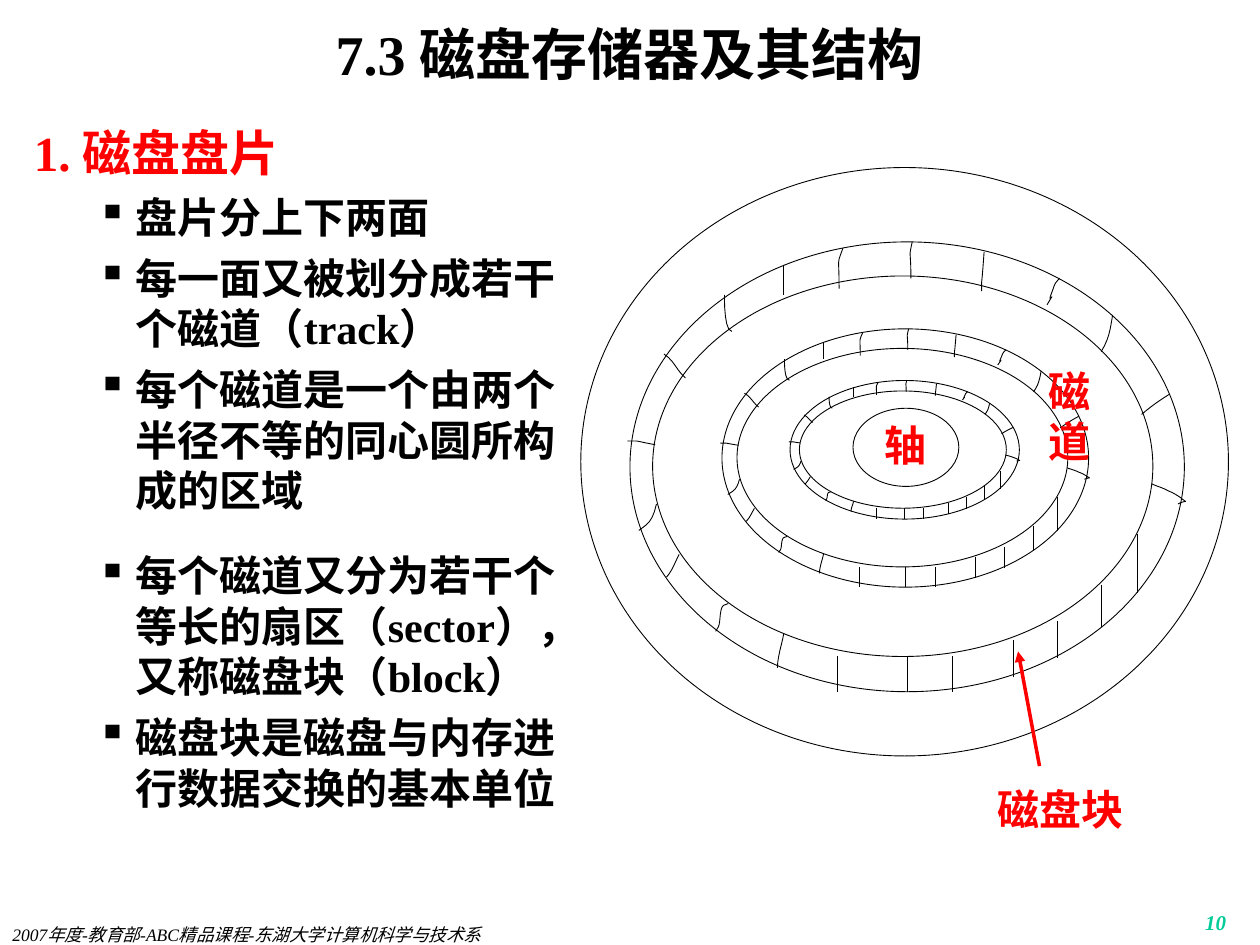
"""Build a slide on the structure of a magnetic disk platter."""
from lxml import etree
from pptx import Presentation
from pptx.dml.color import RGBColor
from pptx.enum.shapes import MSO_CONNECTOR, MSO_SHAPE
from pptx.enum.text import MSO_ANCHOR, MSO_AUTO_SIZE, PP_ALIGN
from pptx.oxml.ns import qn
from pptx.util import Inches, Pt

STRAIGHT = MSO_CONNECTOR.STRAIGHT
OVAL = MSO_SHAPE.OVAL
TOP, MIDDLE = MSO_ANCHOR.TOP, MSO_ANCHOR.MIDDLE
LEFT, CENTER, RIGHT, JUSTIFY = PP_ALIGN.LEFT, PP_ALIGN.CENTER, PP_ALIGN.RIGHT, PP_ALIGN.JUSTIFY
NO_FIT = MSO_AUTO_SIZE.NONE

FONT = "Times New Roman"
COLORS = {"ink": "000000", "paper": "FFFFFF", "accent": "FF0000", "number": "00CC99"}

TITLE = "7.3 磁盘存储器及其结构"
HEADING = "1. 磁盘盘片"
BULLETS = [
    ("盘片分上下两面", 6),
    ("每一面又被划分成若干个磁道（track）", 6),
    ("每个磁道是一个由两个半径不等的同心圆所构成的区域", 6),
    ("每个磁道又分为若干个等长的扇区（sector），又称磁盘块（block）", 20),
    ("磁盘块是磁盘与内存进行数据交换的基本单位", 6),
]
FOOTER = "2007年度-教育部-ABC精品课程-东湖大学计算机科学与技术系"
PAGE_NUMBER = "10"

PLATTER = (4.61, 1.33, 5.14, 4.67)
SPINDLE = (6.77, 3.24, 0.84, 0.62)
OUTER_TRACK = (5, 1.92, 4.4, 3.57)
MIDDLE_TRACK = (5.73, 2.61, 2.91, 2.05)
INNER_TRACK = (6.27, 3.02, 1.82, 1.1)
TRACK_INNER_EDGE = (5.18, 2.19, 3.97, 3.02)

STRAIGHT_MARKS = [
    ((7.2, 5.21), (7.2, 5.49)),
    ((7.56, 5.21), (7.56, 5.49)),
    ((6.65, 5.21), (6.65, 5.49)),
    ((8.04, 5.08), (8.04, 5.37)),
    ((8.39, 4.93), (8.39, 5.22)),
    ((8.74, 4.64), (8.74, 4.98)),
    ((9.03, 4.24), (9.03, 4.71)),
    ((6.22, 2.1), (6.22, 2.34)),
]
CURVED_MARKS = [
    [(6.22, 5.03), (6.21, 5.1), (6.17, 5.21), (6.17, 5.3)],
    [(5.78, 4.79), (5.76, 4.8), (5.74, 4.8), (5.73, 4.82), (5.71, 4.87),
     (5.72, 4.94), (5.7, 4.98), (5.69, 4.99), (5.69, 5), (5.68, 5.01)],
    [(5.39, 4.4), (5.36, 4.46), (5.33, 4.54), (5.29, 4.58)],
    [(5.21, 4), (5.18, 4.14), (5.14, 4.16), (5.07, 4.21)],
    [(5.2, 3.53), (5.03, 3.5), (5.1, 3.5), (4.98, 3.5)],
    [(5.27, 2.81), (5.35, 2.86), (5.37, 2.94), (5.44, 3)],
    [(5.75, 2.34), (5.75, 2.4), (5.75, 2.63), (5.81, 2.63)],
    [(6.69, 1.97), (6.64, 2.11), (6.66, 2.02), (6.66, 2.29)],
    [(7.24, 1.92), (7.21, 2.06), (7.23, 1.97), (7.23, 2.21)],
    [(7.81, 2), (7.79, 2.3), (7.79, 2.19), (7.79, 2.31)],
    [(8.41, 2.21), (8.39, 2.23), (8.37, 2.25), (8.36, 2.29),
     (8.28, 2.49), (8.41, 2.25), (8.31, 2.42)],
    [(8.83, 2.5), (8.81, 2.63), (8.8, 2.69), (8.74, 2.79)],
    [(9.28, 3.13), (9.2, 3.18), (9.13, 3.23), (9.06, 3.29)],
    [(9.14, 3.84), (9.18, 3.86), (9.23, 3.87), (9.28, 3.9), (9.31, 3.91), (9.34, 3.93),
     (9.37, 3.95), (9.38, 3.96), (9.41, 3.98), (9.41, 3.98), (9.39, 3.98), (9.35, 4), (9.35, 4)],
]
CURVE_STEPS = 6


def rgb(name):
    return RGBColor.from_string(COLORS[name])


def set_font(paragraph, size, color, bold=True, italic=False):
    font = paragraph.font
    font.name, font.size, font.bold, font.italic = FONT, Pt(size), bold, italic
    font.color.rgb = rgb(color)


def prepare_frame(frame, inset=0, anchor=TOP):
    frame.word_wrap = True
    frame.auto_size = NO_FIT
    frame.vertical_anchor = anchor
    frame.margin_left = frame.margin_right = Inches(0.1)
    frame.margin_top = frame.margin_bottom = Inches(inset)


def write(frame, lines, size, color, align=LEFT, bold=True, italic=False):
    for index, line in enumerate(lines):
        paragraph = frame.paragraphs[0] if index == 0 else frame.add_paragraph()
        paragraph.text = line
        paragraph.alignment = align
        set_font(paragraph, size, color, bold, italic)


def add_label(shapes, box, lines, size, color, inset=0, **style):
    frame = shapes.add_textbox(*map(Inches, box)).text_frame
    prepare_frame(frame, inset)
    write(frame, lines, size, color, **style)


def add_line(shapes, start, end, color="ink", width=0.5, arrow=False):
    line = shapes.add_connector(STRAIGHT, *map(Inches, (*start, *end)))
    line.line.color.rgb = rgb(color)
    line.line.width = Pt(width)
    properties = line._element.spPr
    if arrow:
        etree.SubElement(properties.get_or_add_ln(), qn("a:tailEnd"), type="triangle")
    etree.SubElement(properties, qn("a:effectLst"))


def outline(shape):
    shape.shadow.inherit = False
    shape.fill.background()
    shape.line.color.rgb = rgb("ink")
    shape.line.width = Pt(0.5)


def add_ellipse(shapes, box, filled=True):
    ellipse = shapes.add_shape(OVAL, *map(Inches, box))
    outline(ellipse)
    if filled:
        ellipse.fill.solid()
        ellipse.fill.fore_color.rgb = rgb("paper")
    return ellipse


def sample_curve(points):
    samples = [points[0]]
    for first in range(0, len(points) - 1, 3):
        controls = points[first:first + 4]
        for step in range(1, CURVE_STEPS + 1):
            t = step / CURVE_STEPS
            weights = ((1 - t) ** 3, 3 * t * (1 - t) ** 2, 3 * t * t * (1 - t), t ** 3)
            samples.append(tuple(sum(w * c[axis] for w, c in zip(weights, controls))
                                 for axis in (0, 1)))
    return samples


def add_track(shapes, track):
    """Draw a track by scaling the outer track's edge and sector marks."""
    scales = [track[axis + 2] / OUTER_TRACK[axis + 2] for axis in (0, 1)]

    def place(point):
        return tuple(track[axis] + (point[axis] - OUTER_TRACK[axis]) * scales[axis]
                     for axis in (0, 1))

    add_ellipse(shapes, track)
    edge_size = [TRACK_INNER_EDGE[axis + 2] * scales[axis] for axis in (0, 1)]
    add_ellipse(shapes, (*place(TRACK_INNER_EDGE), *edge_size))
    for start, end in STRAIGHT_MARKS:
        add_line(shapes, place(start), place(end))
    for mark in CURVED_MARKS:
        points = [tuple(map(Inches, place(point))) for point in sample_curve(mark)]
        builder = shapes.build_freeform(*points[0], scale=1.0)
        builder.add_line_segments(points[1:], close=False)
        outline(builder.convert_to_shape())


def add_outline_text(shapes):
    frame = shapes.add_textbox(*map(Inches, (0.17, 0.92, 4.42, 6.08))).text_frame
    prepare_frame(frame, 0.05)
    write(frame, [HEADING], 28, "accent")
    frame.paragraphs[0].space_before = Pt(7)
    for text, gap in BULLETS:
        paragraph = frame.add_paragraph()
        paragraph.text = text
        paragraph.level = 1
        paragraph.space_before = Pt(gap)
        set_font(paragraph, 24, "ink")
        properties = paragraph._p.get_or_add_pPr()
        properties.set("marL", str(Inches(0.81)))
        properties.set("indent", str(-Inches(0.31)))
        bullet = etree.Element(qn("a:buChar"), char="▪")
        properties.find(qn("a:defRPr")).addprevious(bullet)


def add_disk(shapes):
    disk = shapes.add_group_shape().shapes
    add_ellipse(disk, PLATTER)
    add_track(disk, OUTER_TRACK)
    add_track(disk, MIDDLE_TRACK)
    add_label(disk, (8.22, 2.9, 0.99, 1.34), ["磁", "道"], 24, "accent", align=JUSTIFY)
    add_track(disk, INNER_TRACK)
    frame = add_ellipse(disk, SPINDLE, filled=False).text_frame
    prepare_frame(frame)
    write(frame, ["轴"], 24, "accent", CENTER)


def main():
    deck = Presentation()
    deck.slide_width, deck.slide_height = Inches(10), Inches(7.5)
    page = deck.slides.add_slide(deck.slide_layouts.get_by_name("Title Only"))
    shapes = page.shapes
    title = shapes.title
    title.left, title.top, title.width, title.height = map(Inches, (0.75, 0.17, 8.5, 0.5))
    prepare_frame(title.text_frame, anchor=MIDDLE)
    write(title.text_frame, [TITLE], 32, "ink", CENTER)
    add_label(shapes, (7.75, 7.17, 2.08, 0.25), [PAGE_NUMBER], 12, "number", 0.05,
              align=RIGHT, italic=True)
    add_label(shapes, (0, 7.33, 5.5, 0.17), [FOOTER], 10, "ink", bold=False, italic=True)
    add_outline_text(shapes)
    add_disk(shapes)
    add_label(shapes, (7.5, 6.17, 1.83, 0.5), ["磁盘块"], 24, "accent", 0.05, align=CENTER)
    add_line(shapes, (8.25, 6.08), (8.08, 5.17), "accent", 2, arrow=True)
    deck.save("out.pptx")


if __name__ == "__main__":
    main()
